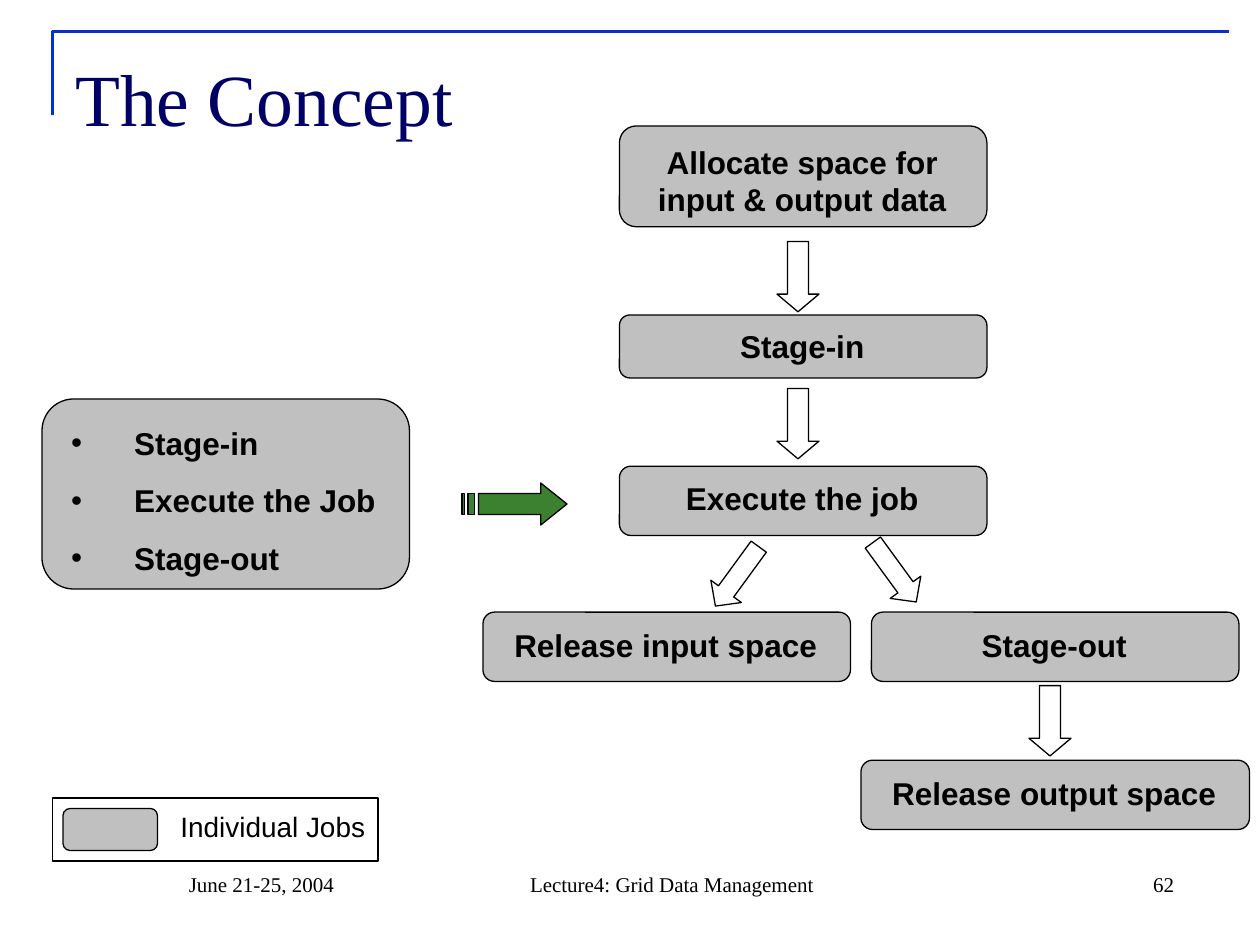
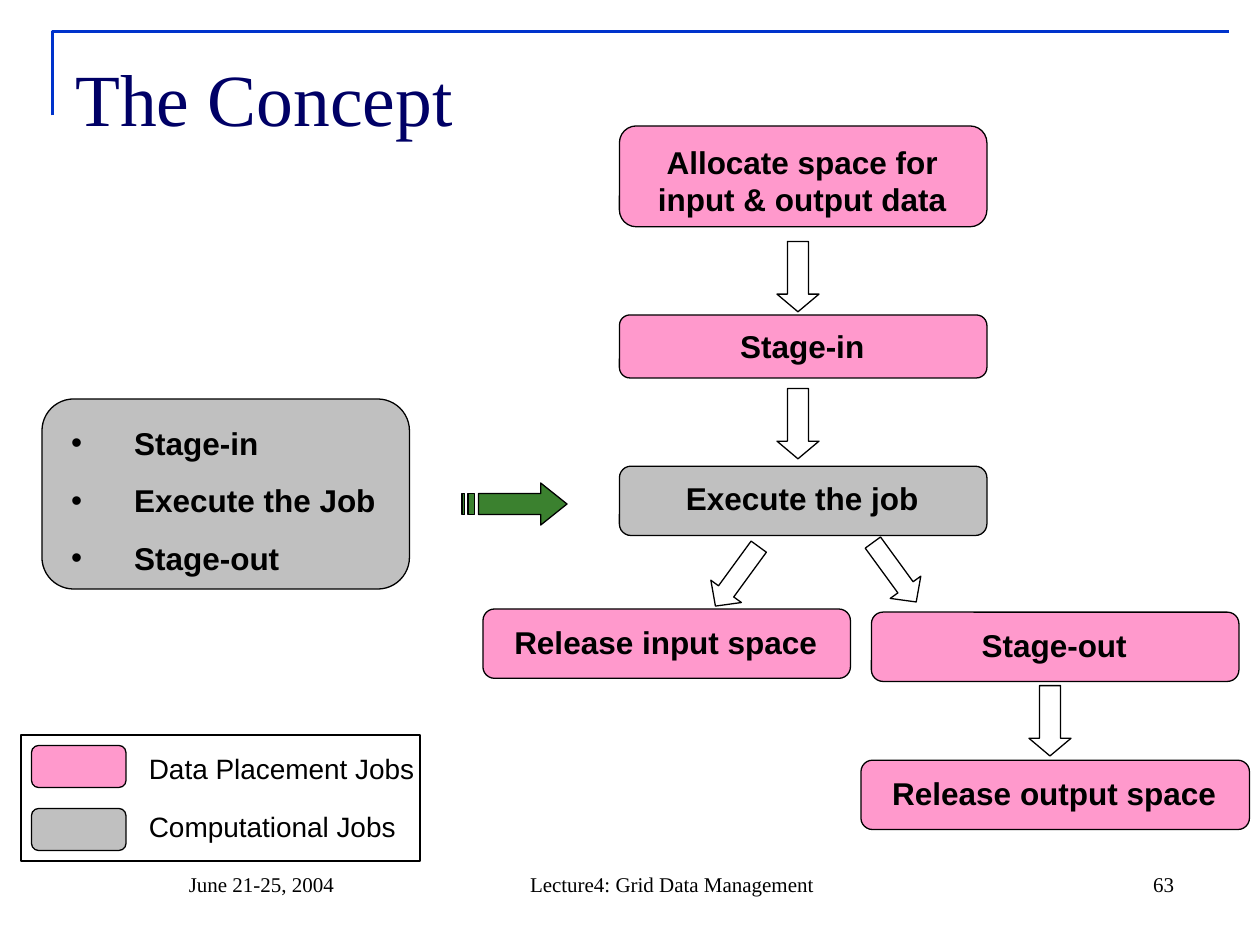
from dataclasses import dataclass
from lxml.etree import SubElement as Sub
from pptx import Presentation
from pptx.dml.color import RGBColor as Rgb
from pptx.enum.shapes import MSO_SHAPE as Kind
from pptx.enum.text import MSO_ANCHOR as Anchor, PP_ALIGN as Align
from pptx.oxml.ns import qn
from pptx.util import Inches, Pt


@dataclass(frozen=True)
class Theme:
    ink: str = "000000"
    title: str = "000066"
    rule: str = "0033CC"
    gray: str = "C0C0C0"
    pink: str = "FF99CC"
    green: str = "3B812F"
    white: str = "FFFFFF"
    sans: str = "Arial"
    serif: str = "Times New Roman"
    head: int = 42
    body: int = 18
    key: int = 16
    foot: int = 12
    thin: float = 0.75
    thick: float = 1.5
    gap: float = 11.2


look = Theme()
deck = Presentation()
deck.slide_width, deck.slide_height = Inches(10), Inches(7.5)
cell = deck.slide_width // 120


def put(home, kind, area, fill=None, line=look.ink):
    shape = home.add_shape(kind, *[round(n * cell) for n in area])
    shape.shadow.inherit = False
    if fill:
        shape.fill.solid()
        shape.fill.fore_color.rgb = Rgb.from_string(fill)
    else:
        shape.fill.background()
    if line:
        shape.line.color.rgb = Rgb.from_string(line)
        shape.line.width = Pt(look.thin)
    else:
        shape.line.fill.background()
    return shape


def write(shape, text, size, face, color=look.ink, bold=False,
          align=Align.LEFT, anchor=Anchor.TOP):
    frame = shape.text_frame
    frame.text = text
    frame.word_wrap = True
    frame.vertical_anchor = anchor
    for para in frame.paragraphs:
        para.alignment = align
        for run in para.runs:
            run.font.size = Pt(size)
            run.font.name = face
            run.font.bold = bold
            run.font.color.rgb = Rgb.from_string(color)
    return frame


tasks = "Stage-in\nExecute the Job\nStage-out"
steps = [
    ("Stage-in", 59, 30, 35, 6, 0.6, 4.8),
    ("Execute the job", 59, 44.4, 35, 6.6, 0.6, 4.8),
    ("Stage-out", 83, 58.3, 35, 6.6, 0.7, 4.8),
    ("Release input space", 46, 58.3, 35, 6.6, 0.7, 4.8),
    ("Release output space", 82, 72.4, 37, 6.6, 0.7, 4.8),
    ("Allocate space for input & output data", 59, 12, 35, 9.6, 1, 8.4),
]
arrows = [
    (74, 23, 4, 6.7, 0, 0.42),
    (74, 37, 4, 6.7, 0, 0.42),
    (98, 65.3, 4, 6.7, 0, 0.42),
    (68.4, 51.4, 3.6, 7, 36.1, 0.48),
    (83.4, 51, 3.6, 7, 323.9, 0.48),
]
pages = [
    ("62", look.gray, 58.3, (5, 76, 31, 6), 21,
     [("Individual Jobs", look.gray, 77, 76.5)]),
    ("63", look.pink, 58, (2, 70, 38, 12), 29,
     [("Data Placement Jobs", look.pink, 71, 71),
      ("Computational Jobs", look.gray, 77, 76.5)]),
]

for page, tint, drop, panel, wide, keys in pages:
    slide = deck.slides.add_slide(deck.slide_layouts[6])
    shapes = slide.shapes

    pen = shapes.build_freeform(5, 11, scale=cell)
    pen.add_line_segments([(5, 3), (117, 3)], close=False)
    rule = pen.convert_to_shape()
    rule.shadow.inherit = False
    rule.fill.background()
    rule.line.color.rgb = Rgb.from_string(look.rule)
    rule.line.width = Pt(look.thick)

    head = put(shapes, Kind.RECTANGLE, (6, 3.6, 103, 11.4), line=None)
    frame = write(head, "The Concept", look.head, look.serif, look.title)
    frame.margin_top = Inches(0.12)

    group = shapes.add_group_shape().shapes
    put(group, Kind.ROUNDED_RECTANGLE, (4, 38, 35, 18.1), look.gray)
    label = put(group, Kind.RECTANGLE, (5.6, 39.8, 31.7, 15.8), look.gray, None)
    frame = write(label, tasks, look.body, look.sans, bold=True)
    for rank, para in enumerate(frame.paragraphs):
        if rank:
            para.space_before = Pt(look.gap)
        props = para._p.get_or_add_pPr()
        props.set("marL", str(Inches(0.5)))
        props.set("indent", str(-Inches(0.5)))
        Sub(Sub(props, qn("a:buClr")), qn("a:srgbClr"), val=look.ink)
        Sub(props, qn("a:buFont"), typeface=look.sans)
        Sub(props, qn("a:buChar"), char="•")

    for name, left, top, width, height, inset, tall in steps:
        fill = look.gray if name == "Execute the job" else tint
        top = drop if name == "Release input space" else top
        group = shapes.add_group_shape().shapes
        put(group, Kind.ROUNDED_RECTANGLE, (left, top, width, height), fill)
        area = (left + 1.6, top + inset, width - 3.4, tall)
        label = put(group, Kind.RECTANGLE, area, fill, None)
        write(label, name, look.body, look.sans, bold=True, align=Align.CENTER)

    for *area, turn, tip in arrows:
        arrow = put(shapes, Kind.DOWN_ARROW, area, look.white)
        arrow.adjustments[0], arrow.adjustments[1] = 0.5, tip
        arrow.rotation = turn

    pen = shapes.build_freeform(547, 564, scale=cell / 12)
    pen.add_line_segments([(618, 564), (618, 552), (648, 576), (618, 600),
                           (618, 588), (547, 588)])
    for left, right in ((528, 531), (535, 542)):
        pen.move_to(left, 564)
        pen.add_line_segments([(right, 564), (right, 588), (left, 588)])
    dart = pen.convert_to_shape()
    dart.shadow.inherit = False
    dart.fill.solid()
    dart.fill.fore_color.rgb = Rgb.from_string(look.green)
    dart.line.color.rgb = Rgb.from_string(look.ink)
    dart.line.width = Pt(look.thin)

    group = shapes.add_group_shape().shapes
    for name, fill, top, base in keys:
        left = panel[0] + 1
        put(group, Kind.ROUNDED_RECTANGLE, (left, top, 9, 4), fill)
        label = put(group, Kind.RECTANGLE, (left + 10, base, wide, 4.4), line=None)
        write(label, name, look.key, look.sans)
    put(group, Kind.RECTANGLE, panel)

    for text, left, width, align in (
            ("Lecture4: Grid Data Management", 45, 38, Align.CENTER),
            (page, 85, 28, Align.RIGHT),
            ("June 21-25, 2004", 16.8, 27.2, Align.LEFT)):
        foot = put(shapes, Kind.RECTANGLE, (left, 82, width, 4), line=None)
        write(foot, text, look.foot, look.serif, align=align, anchor=Anchor.BOTTOM)

deck.save("out.pptx")
